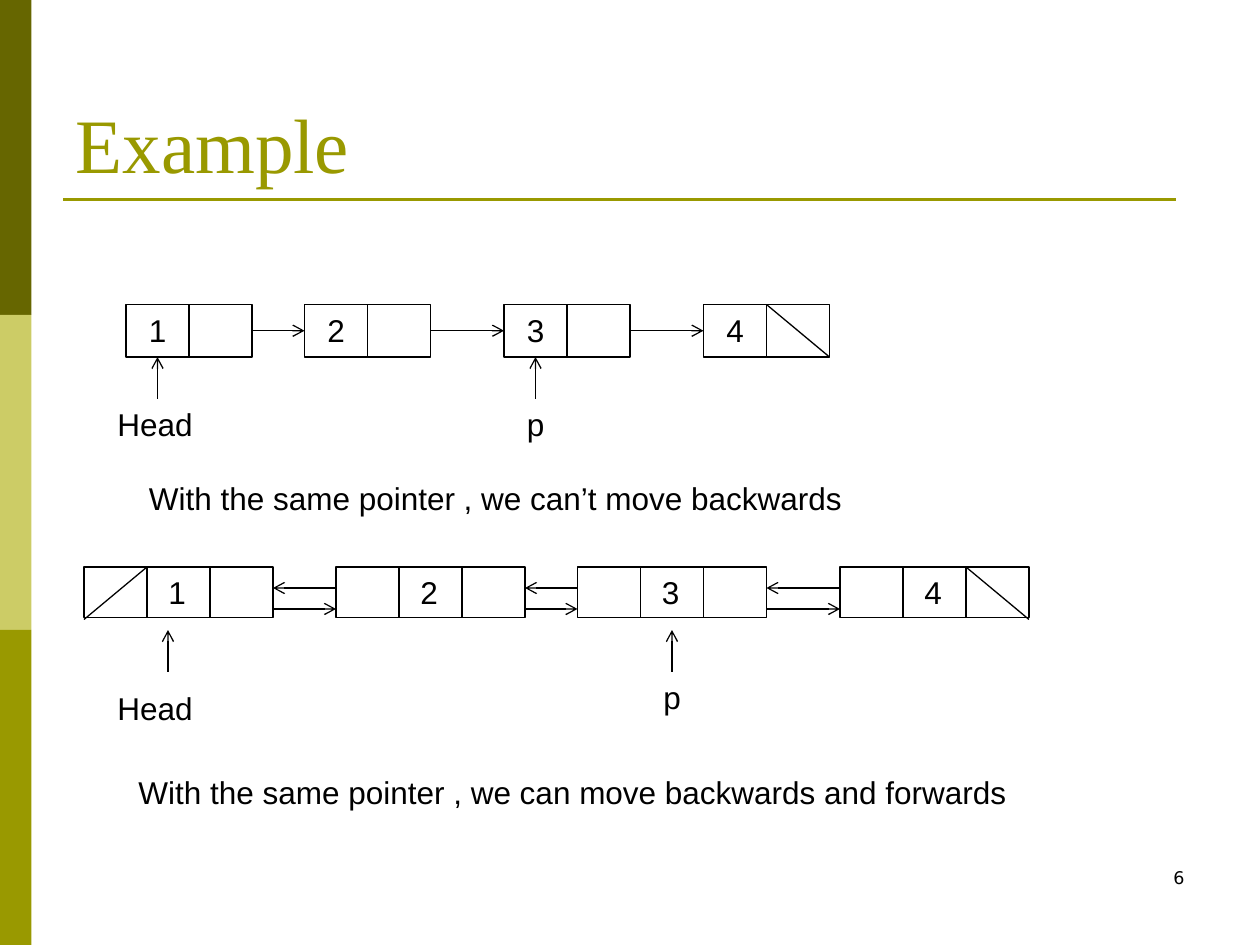
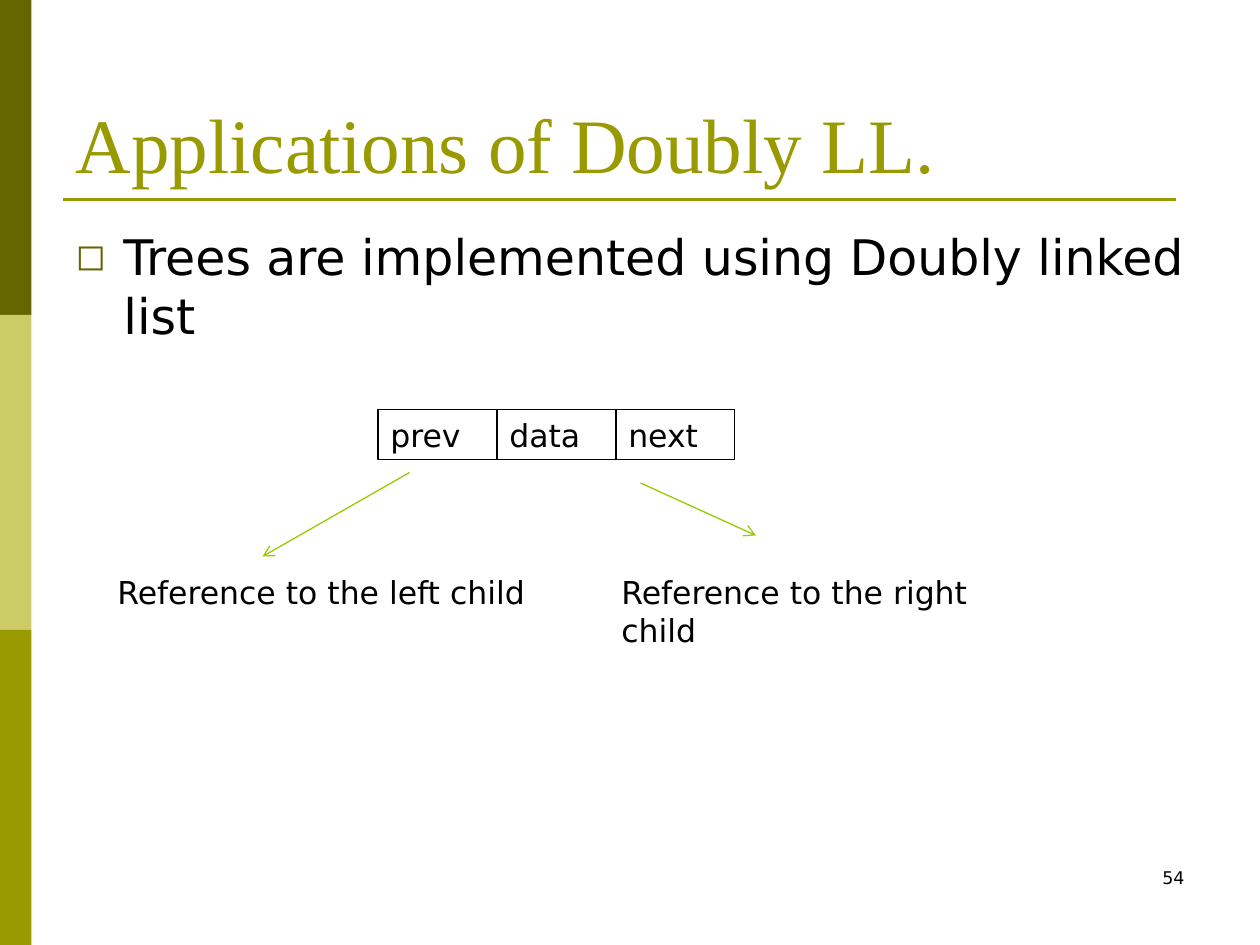
from itertools import pairwise

from lxml.etree import SubElement as Sub
from pptx import Presentation as Deck
from pptx.dml.color import RGBColor as Rgb
from pptx.enum.shapes import MSO_CONNECTOR as Link, MSO_SHAPE as Kind
from pptx.enum.text import MSO_ANCHOR as Anchor, MSO_AUTO_SIZE as Fit, PP_ALIGN as Align
from pptx.oxml.ns import qn
from pptx.util import Inches, Pt

HUES = {"dark": "666600", "pale": "CCCC66", "olive": "999900",
        "lime": "98CC00", "ink": "000000"}
COLS = 120  # one grid unit is a twelfth of an inch, both ways
TOP, LEFT, BOTTOM, RIGHT = range(4)
CELL, ROW_H = 6, 4.8
SANS = "DejaVu Sans"


def hue(name):
    return Rgb.from_string(HUES[name])


def apply(target, form):
    for key, value in form.items():
        setattr(target, key, value)


class Page:
    """Holds the style and the slide being drawn."""

    def __init__(self, deck):
        self.deck, self.unit, self.face = deck, deck.slide_width / COLS, SANS

    def at(self, *spots):
        return [round(spot * self.unit) for spot in spots]

    def start(self, layout, title, number, face):
        self.slide = self.deck.slides.add_slide(self.deck.slide_layouts[layout])
        self.shapes, self.face = self.slide.shapes, face
        # Side bands and title rule
        for step, name in enumerate(("dark", "pale", "olive")):
            self.rect(0, 30 * step, 3, 30, fill=name)
        self.line((6, 19), (112, 19), "olive", 1.5, arrow=False)
        self.place(self.shapes.title, (6, 3.6, 108, 15), title,
                   {"name": "Times New Roman", "size": Pt(44)}, "olive", Anchor.BOTTOM)
        # Page number
        self.label(86, 82, 28, number, 6, {"name": SANS, "size": Pt(10)}, Align.RIGHT)

    def text(self, frame, words, font=None, tint="ink", align=Align.LEFT, **form):
        apply(frame, {"word_wrap": True, "auto_size": Fit.NONE,
                      "vertical_anchor": Anchor.TOP, **form})
        para = frame.paragraphs[0]
        apply(para, {"alignment": align, "space_before": Pt(0)})
        run = para.add_run()
        run.text = words
        apply(run.font, {"name": self.face, "size": Pt(18), **(font or {})})
        run.font.color.rgb = hue(tint)
        return para

    def place(self, holder, box, words, font, tint, anchor):
        apply(holder, dict(zip(("left", "top", "width", "height"), self.at(*box))))
        return self.text(holder.text_frame, words, font, tint, vertical_anchor=anchor)

    def bullet(self, box, words):
        para = self.place(self.slide.placeholders[1], box, words,
                          {"size": Pt(28)}, "ink", Anchor.TOP)
        props = para._p.get_or_add_pPr()
        props.set("marL", str(Inches(0.38)))
        props.set("indent", str(-Inches(0.38)))
        Sub(Sub(props, qn("a:buClr")), qn("a:srgbClr"), val=HUES["dark"])
        Sub(props, qn("a:buSzPct"), val="75000")
        Sub(props, qn("a:buFont"), typeface=SANS)
        Sub(props, qn("a:buChar"), char="◻")

    def rect(self, x, y, w, h, words=None, fill=None, inset=0.1):
        shape = self.shapes.add_shape(Kind.RECTANGLE, *self.at(x, y, w, h))
        shape.shadow.inherit = False
        if fill:
            shape.fill.solid()
            shape.fill.fore_color.rgb = hue(fill)
            shape.line.fill.background()
        else:
            shape.fill.background()
            shape.line.color.rgb = hue("ink")
            shape.line.width = Pt(0.75)
        if words:
            self.text(shape.text_frame, words, margin_left=Inches(inset))
        return shape

    def label(self, x, y, w, words, h=ROW_H, font=None, align=Align.LEFT):
        box = self.shapes.add_textbox(*self.at(x, y, w, h))
        self.text(box.text_frame, words, font, align=align,
                  auto_size=Fit.SHAPE_TO_FIT_TEXT if h == ROW_H else Fit.NONE)

    def line(self, start, end, tint="ink", width=0.75, arrow=True):
        line = self.shapes.add_connector(Link.STRAIGHT, *self.at(*start, *end))
        line.line.color.rgb = hue(tint)
        line.line.width = Pt(width)
        if arrow:
            Sub(line.line._ln, qn("a:tailEnd"), type="arrow")
        Sub(line._element.spPr, qn("a:effectLst"))
        return line

    def row(self, x, y, words, w=CELL, h=ROW_H, inset=0.1):
        return [self.rect(x + w * i, y, w, h, word, inset=inset)
                for i, word in enumerate(words)]


def compare(page):
    page.start(5, "Example", "6", "Arial")

    # Singly linked list
    y, tall = 29, 5
    mid, low = y + tall / 2, y + tall
    spots = (12, 29, 48, 67)
    nodes = [page.row(x, y, ("", ""), h=tall) for x in spots]
    for i, x in enumerate(spots, 1):
        page.label(x + 1, y, 3, str(i))
    for (x, node), (goal, after) in pairwise(zip(spots, nodes)):
        link = page.line((x + 2 * CELL, mid), (goal, mid))
        link.begin_connect(node[1], RIGHT)
        link.end_connect(after[0], LEFT)
    page.line((73, y), (79, low), arrow=False)
    for i in (0, 2):
        x = spots[i] + CELL / 2
        page.line((x, low + 4), (x, low)).end_connect(nodes[i][0], BOTTOM)
    page.label(10, 38, 12, "Head")
    page.label(49, 38, 3, "p")
    page.label(13, 45, 77, "With the same pointer , we can’t move backwards")

    # Doubly linked list
    y, spots = 54, (8, 32, 55, 80)
    for i, x in enumerate(spots, 1):
        page.row(x, y, ("", str(i), ""), inset=0.17)
    for x, goal in pairwise(spots):
        end = x + 3 * CELL
        page.line((end, y + 4), (goal, y + 4))
        page.line((goal, y + 2), (end, y + 2))
    page.line((92, y), (98, y + 5), arrow=False)
    page.line((14, y), (8, y + 5), arrow=False)
    for x in (16, 64):
        page.line((x, 64), (x, 60))
    page.label(10, 65, 12, "Head")
    page.label(62, 64, 3, "p")
    page.label(12, 73, 94, "With the same pointer , we can move backwards and forwards")


def trees(page):
    page.start(1, "Applications of Doubly LL.", "54", SANS)
    page.bullet((6, 21, 108, 59.4), "Trees are implemented using Doubly linked list")

    # Tree node and its two references
    page.row(36, 39, ("prev", "data", "next"), w=11.33)
    page.label(58, 54, 43, "Reference to the right child")
    page.label(10, 54, 43, "Reference to the left child")
    page.line((39, 45), (25, 53), "lime")
    page.line((61, 46), (72, 51), "lime")


def main():
    deck = Deck()
    apply(deck, {"slide_width": Inches(10), "slide_height": Inches(7.5)})
    page = Page(deck)
    compare(page)
    trees(page)
    deck.save("out.pptx")


if __name__ == "__main__":
    main()
